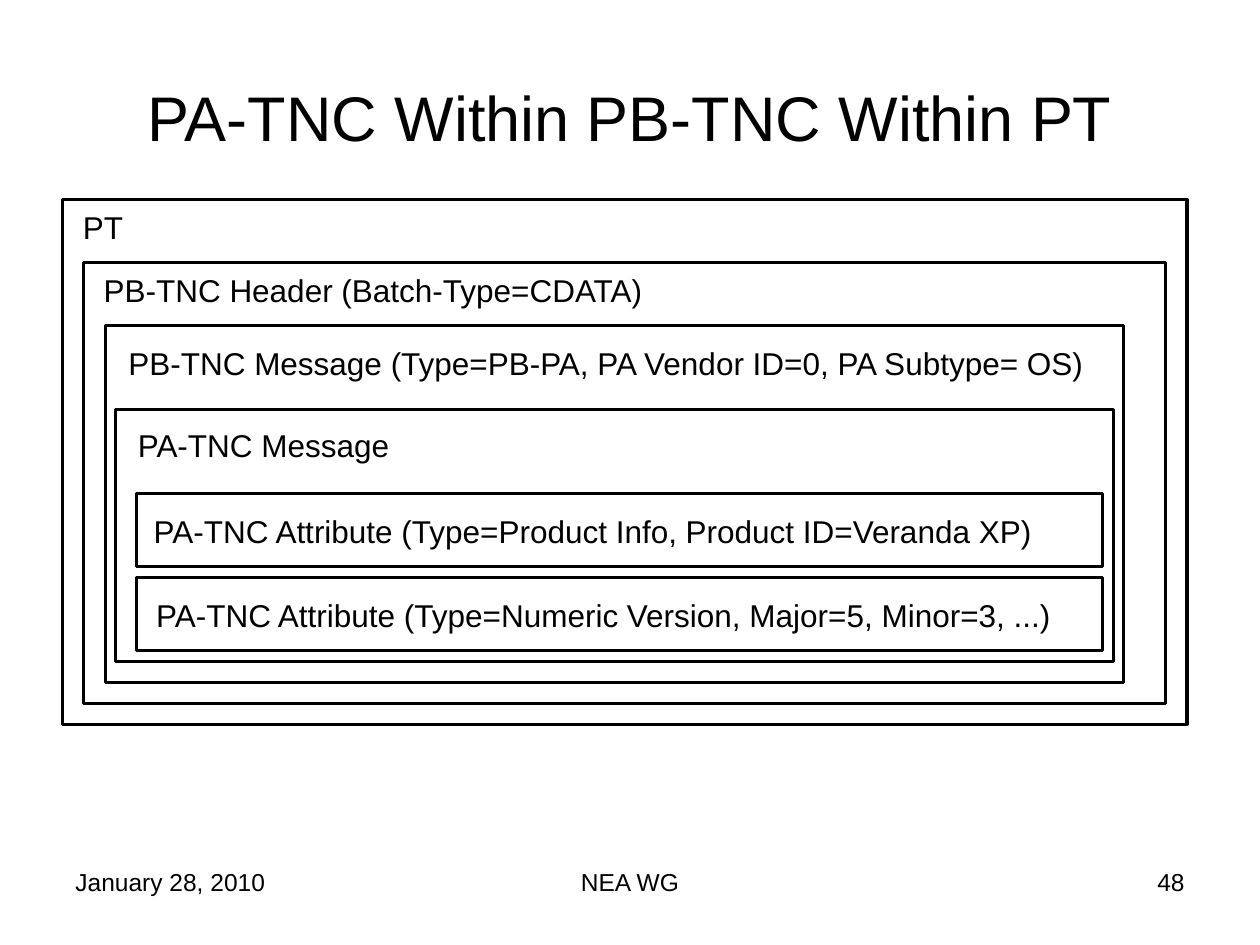
from dataclasses import dataclass

import pptx
import pptx.dml.color
import pptx.enum.shapes
import pptx.enum.text
import pptx.slide
import pptx.text.text
import pptx.util

Cm = pptx.util.Cm
Align = pptx.enum.text.PP_ALIGN
Anchor = pptx.enum.text.MSO_ANCHOR


@dataclass(frozen=True)
class Theme:
    font: str = "Arial"
    ink: pptx.dml.color.RGBColor = pptx.dml.color.RGBColor(0, 0, 0)
    paper: pptx.dml.color.RGBColor = pptx.dml.color.RGBColor(255, 255, 255)
    title_size: float = 36
    label_size: float = 18
    footer_size: float = 14
    line_width: float = 1.75


@dataclass(frozen=True)
class Layer:
    label: str
    left: float
    top: float
    width: float
    height: float
    label_dx: float
    label_dy: float
    label_width: float


@dataclass(frozen=True)
class Footer:
    text: str
    left: float
    width: float
    align: Align


THEME = Theme()
LABEL_HEIGHT = 1.02
ATTRIBUTE_TOP = 9.95
ATTRIBUTE_STEP = 1.69

LAYERS = [
    Layer("PT", 1.27, 4.02, 22.66, 10.58, 0.15, 0.05, 1.32),
    Layer("PB-TNC Header (Batch-Type=CDATA)",
          1.69, 5.29, 21.8, 8.89, 0.15, 0.05, 11.51),
    Layer("PB-TNC Message (Type=PB-PA, PA Vendor ID=0, PA Subtype= OS)",
          2.12, 6.56, 20.53, 7.2, 0.22, 0.25, 20.04),
    Layer("PA-TNC Message", 2.33, 8.26, 20.11, 5.08, 0.2, 0.21, 5.64),
    Layer("PA-TNC Attribute (Type=Product Info, Product ID=Veranda XP)",
          2.75, ATTRIBUTE_TOP, 19.47, 1.48, 0.1, 0.25, 18.54),
    Layer("PA-TNC Attribute (Type=Numeric Version, Major=5, Minor=3, ...)",
          2.75, ATTRIBUTE_TOP + ATTRIBUTE_STEP, 19.47, 1.48, 0.15, 0.25, 18.69),
]

FOOTERS = [
    Footer("January 28, 2010", 1.27, 5.93, Align.LEFT),
    Footer("NEA WG", 8.68, 8.04, Align.CENTER),
    Footer("48", 18.2, 5.93, Align.RIGHT),
]


def write_text(frame: pptx.text.text.TextFrame, text: str, size: float,
               align: Align, anchor: Anchor = Anchor.TOP, wrap: bool = True) -> None:
    frame.text = text
    frame.word_wrap = wrap
    frame.vertical_anchor = anchor
    para = frame.paragraphs[0]
    para.alignment = align
    for span in para.runs:
        span.font.name = THEME.font
        span.font.size = pptx.util.Pt(size)
        span.font.color.rgb = THEME.ink


def add_title(page: pptx.slide.Slide, text: str) -> None:
    title = page.shapes.title
    title.left, title.top = Cm(1.27), Cm(0.76)
    title.width, title.height = Cm(22.86), Cm(3.18)
    write_text(title.text_frame, text, THEME.title_size, Align.CENTER, Anchor.MIDDLE)


def add_layer(page: pptx.slide.Slide, layer: Layer) -> None:
    box = page.shapes.add_shape(
        pptx.enum.shapes.MSO_SHAPE.RECTANGLE,
        Cm(layer.left), Cm(layer.top), Cm(layer.width), Cm(layer.height))
    box.shadow.inherit = False
    box.fill.solid()
    box.fill.fore_color.rgb = THEME.paper
    box.line.color.rgb = THEME.ink
    box.line.width = pptx.util.Pt(THEME.line_width)

    label = page.shapes.add_textbox(
        Cm(layer.left + layer.label_dx), Cm(layer.top + layer.label_dy),
        Cm(layer.label_width), Cm(LABEL_HEIGHT))
    label.fill.solid()
    label.fill.fore_color.rgb = THEME.paper
    write_text(label.text_frame, layer.label, THEME.label_size, Align.LEFT, wrap=False)
    label.text_frame.auto_size = pptx.enum.text.MSO_AUTO_SIZE.SHAPE_TO_FIT_TEXT


def add_footer(page: pptx.slide.Slide, footer: Footer) -> None:
    box = page.shapes.add_textbox(
        Cm(footer.left), Cm(17.35), Cm(footer.width), Cm(1.32))
    write_text(box.text_frame, footer.text, THEME.footer_size, footer.align)


def main() -> None:
    deck = pptx.Presentation()
    deck.slide_width, deck.slide_height = Cm(25.4), Cm(19.05)
    page = deck.slides.add_slide(deck.slide_layouts.get_by_name("Title Only"))
    page.background.fill.solid()
    page.background.fill.fore_color.rgb = THEME.paper
    for footer in FOOTERS:
        add_footer(page, footer)
    add_title(page, "PA-TNC Within PB-TNC Within PT")
    for layer in LAYERS:
        add_layer(page, layer)
    deck.save("out.pptx")


if __name__ == "__main__":
    main()
